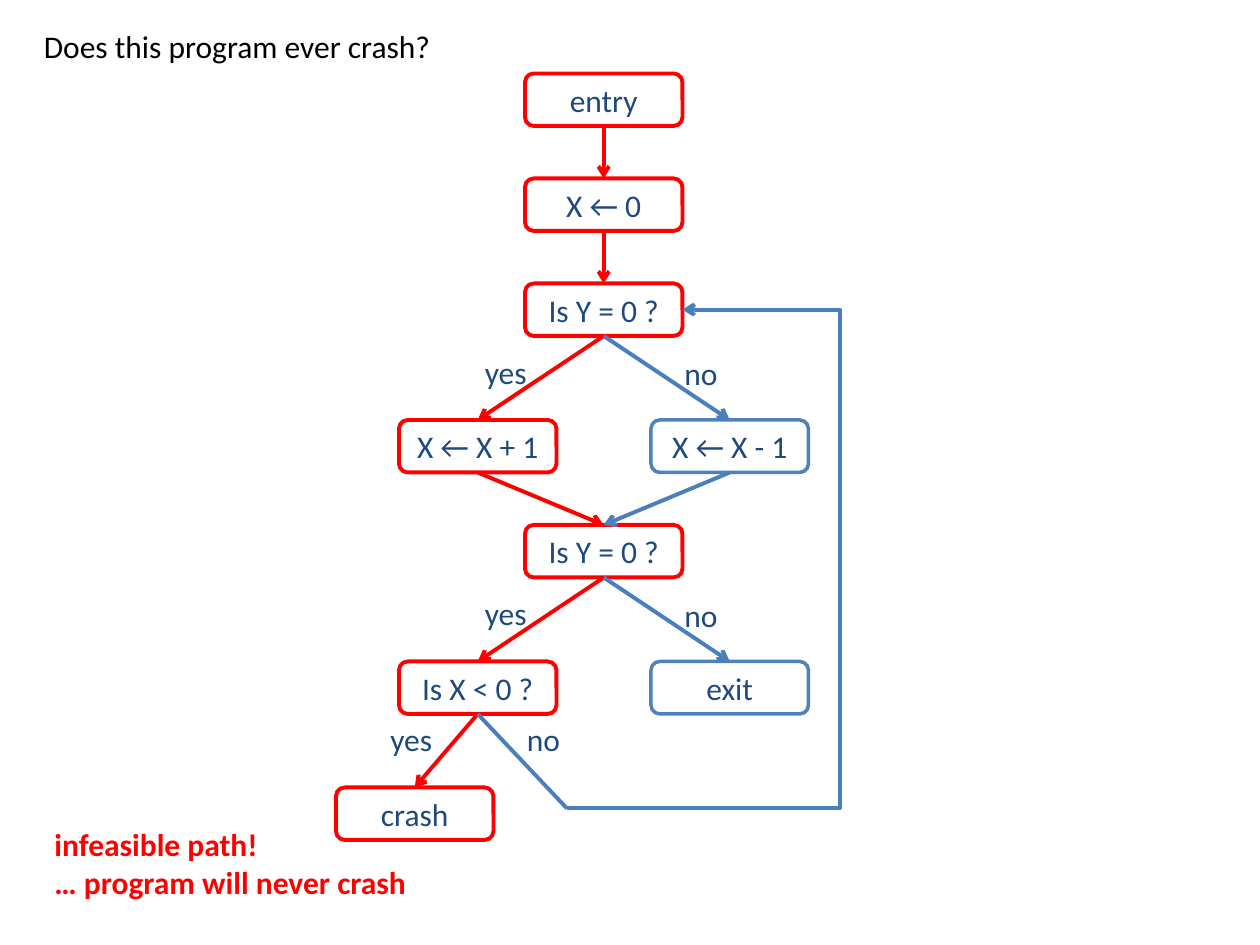
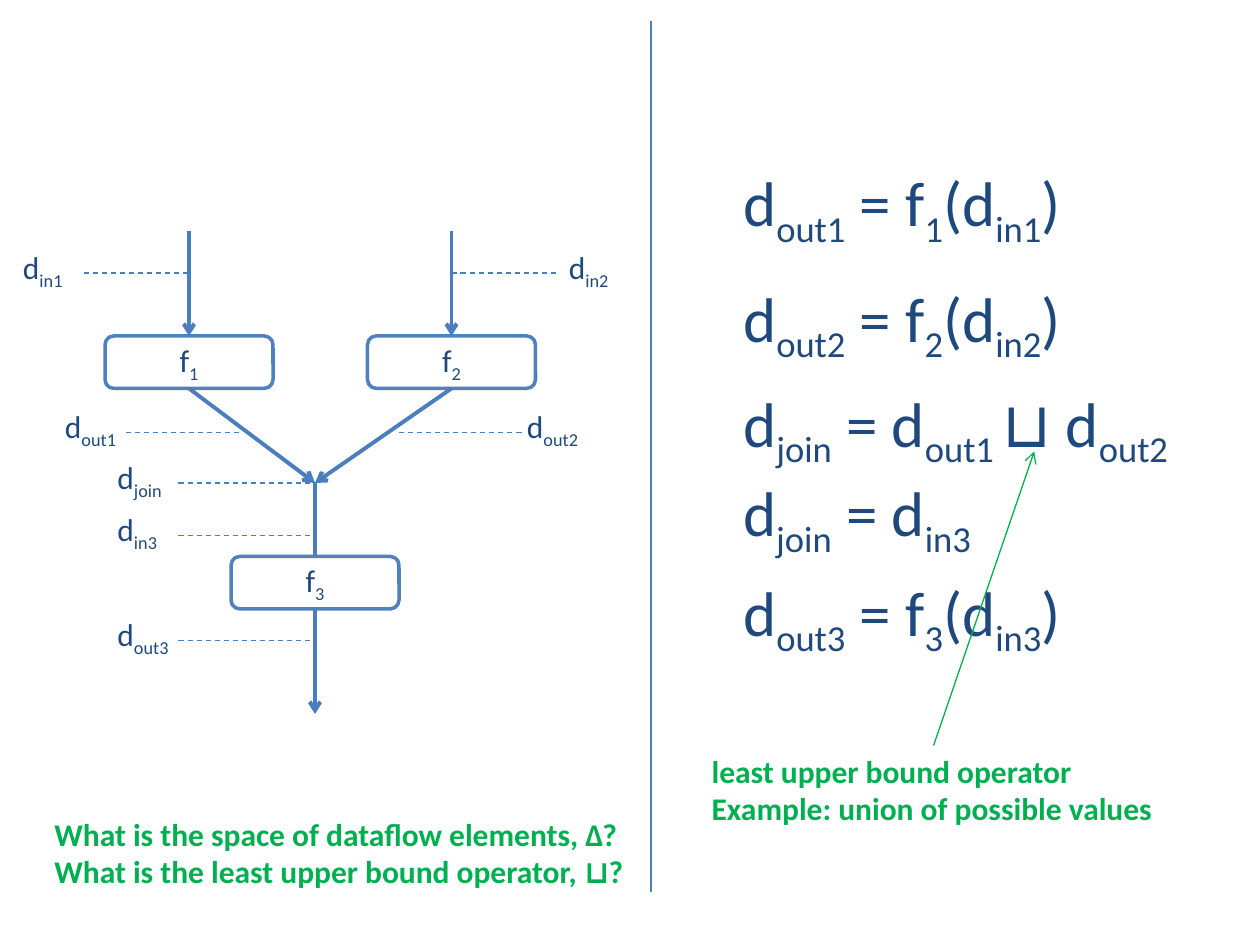
from lxml.etree import SubElement
from pptx import Presentation
from pptx.dml.color import RGBColor
from pptx.enum.dml import MSO_LINE
from pptx.enum.shapes import MSO_CONNECTOR as Link, MSO_SHAPE as Shape
from pptx.enum.text import MSO_ANCHOR as Anchor, MSO_AUTO_SIZE as AutoSize, PP_ALIGN as Align
from pptx.oxml.ns import qn
from pptx.util import Pt

NAVY, BLUE, LINK_BLUE = "1F497D", "4F81BD", "4B7EBC"
RED, GREEN, BLACK = "FF0000", "00B050", "000000"
FONT = "Calibri"
BOX_HEIGHT, LABEL_HEIGHT = 30, 29
TOP, BOTTOM = 0, 2

PROGRAM_BOXES = {
    "entry": ("entry", 300, 42, RED),
    "assign": ("X ← 0", 300, 102, RED),
    "first test": ("Is Y = 0 ?", 300, 162, RED),
    "increment": ("X ← X + 1", 228, 240, RED),
    "decrement": ("X ← X - 1", 372, 240, BLUE),
    "second test": ("Is Y = 0 ?", 300, 300, RED),
    "sign test": ("Is X < 0 ?", 228, 378, RED),
    "exit": ("exit", 372, 378, BLUE),
    "crash": ("crash", 192, 450, RED),
}
PROGRAM_ARROWS = [
    ("entry", "assign", RED), ("assign", "first test", RED),
    ("first test", "increment", RED), ("first test", "decrement", LINK_BLUE),
    ("increment", "second test", RED), ("decrement", "second test", LINK_BLUE),
    ("second test", "sign test", RED), ("second test", "exit", LINK_BLUE),
    ("sign test", "crash", RED),
]
BRANCH_LABELS = [
    ("yes", 270, 198), ("no", 384, 198.5), ("yes", 270, 336),
    ("no", 384, 337), ("yes", 216, 408), ("no", 294, 408),
]
BRANCH_WIDTHS = {"yes": 39, "no": 34}
LOOP_START, LOOP_END, LOOP_RIGHT = (324, 462), (390, 177), 480

FLOW_BOXES = [("f|1|", 60, 192), ("f|2|", 210, 192), ("f|3|", 132, 318)]
JOIN = (180, 276)
FLOW_LABELS = [
    ("d|in1|", 6, 40, 48, 108, 156),
    ("d|in2|", 318, 40, 258, 318, 156),
    ("d|out1|", 30, 51, 72, 138, 247),
    ("d|out2|", 294, 48, 228, 300, 247),
    ("d|join|", 60, 51, 102, 180, 276),
    ("d|in3|", 60, 51, 102, 180, 306),
    ("d|out3|", 60, 51, 102, 180, 366),
]
EQUATIONS = [
    ("d|out1| = f|1|(d|in1|)", 90, 215),
    ("d|out2| = f|2|(d|in2|)", 156, 215),
    ("d|join| = d|out1 |⊔ d|out2|", 216, 275),
    ("d|join| = d|in3|", 267, 155),
    ("d|out3| = f|3|(d|in3|)", 324, 209),
]


def color(value):
    return RGBColor.from_string(value)


def fill_text(frame, text, size=18, ink=NAVY, bold=False, align=Align.LEFT):
    for index, line in enumerate(text.split("\n")):
        paragraph = frame.add_paragraph() if index else frame.paragraphs[0]
        paragraph.alignment = align
        for part, content in enumerate(line.split("|")):
            if not content:
                continue
            run = paragraph.add_run()
            run.text = content
            run.font.name, run.font.size, run.font.bold = FONT, Pt(size), bold
            run.font.color.rgb = color(ink)
            if part % 2:
                run.font._element.set("baseline", "-25000")


def add_text(slide, text, left, top, width, height=LABEL_HEIGHT, wrap=False, **style):
    shape = slide.shapes.add_textbox(Pt(left), Pt(top), Pt(width), Pt(height))
    shape.text_frame.word_wrap = wrap
    shape.text_frame.auto_size = AutoSize.SHAPE_TO_FIT_TEXT
    fill_text(shape.text_frame, text, **style)


def add_box(slide, text, left, top, width, outline=BLUE):
    shape = slide.shapes.add_shape(Shape.ROUNDED_RECTANGLE, Pt(left), Pt(top), Pt(width), Pt(BOX_HEIGHT))
    shape.shadow.inherit = False
    shape.fill.background()
    shape.line.color.rgb = color(outline)
    shape.line.width = Pt(2.25 if outline == RED else 2)
    shape.text_frame.word_wrap = True
    shape.text_frame.vertical_anchor = Anchor.MIDDLE
    fill_text(shape.text_frame, text, align=Align.CENTER)
    return shape


def add_line(slide, start, end, ink=LINK_BLUE, width=2.25, arrow=False, dashed=False, kind=Link.STRAIGHT):
    places = [(0, 0) if hasattr(place, "text_frame") else place for place in (start, end)]
    line = slide.shapes.add_connector(kind, *(Pt(value) for place in places for value in place))
    if hasattr(start, "text_frame"):
        line.begin_connect(start, BOTTOM)
    if hasattr(end, "text_frame"):
        line.end_connect(end, TOP)
    line.line.color.rgb = color(ink)
    line.line.width = Pt(width)
    if dashed:
        line.line.dash_style = MSO_LINE.DASH
    properties = line._element.spPr
    if arrow:
        SubElement(properties.find(qn("a:ln")), qn("a:tailEnd"), type="arrow")
    SubElement(properties, qn("a:effectLst"))
    return line


def add_loop(slide, start, end, right):
    width, height = start[1] - end[1], end[0] - start[0]
    left = (start[0] + end[0] - width) / 2
    top = (start[1] + end[1] - height) / 2
    loop = add_line(slide, (left, top), (left + width, top + height), arrow=True, kind=Link.ELBOW)
    frame = loop._element.spPr.find(qn("a:xfrm"))
    for name, value in (("rot", "5400000"), ("flipH", "1"), ("flipV", "1")):
        frame.set(name, value)
    geometry = loop._element.spPr.find(qn("a:prstGeom"))
    geometry.set("prst", "bentConnector4")
    adjustments = geometry.find(qn("a:avLst"))
    reach = round((right - start[0]) / height * 100000)
    for name, value in (("adj1", 0), ("adj2", reach)):
        SubElement(adjustments, qn("a:gd"), name=name, fmla=f"val {value}")


def build_program(slide):
    boxes = {
        name: add_box(slide, text, left, top, 90, outline)
        for name, (text, left, top, outline) in PROGRAM_BOXES.items()
    }
    for source, target, ink in PROGRAM_ARROWS:
        add_line(slide, boxes[source], boxes[target], ink, arrow=True)
    add_line(slide, boxes["sign test"], LOOP_START)
    add_loop(slide, LOOP_START, LOOP_END, LOOP_RIGHT)
    for text, left, top in BRANCH_LABELS:
        add_text(slide, text, left, top, BRANCH_WIDTHS[text])
    add_text(slide, "infeasible path!\n… program will never crash", 24, 468, 217, 51, ink=RED, bold=True)
    add_text(slide, "Does this program ever crash?", 18, 12, 264, wrap=True, ink=BLACK)


def build_dataflow(slide):
    add_line(slide, (372, 12), (372, 510), width=0.75)
    for text, top, width in EQUATIONS:
        add_text(slide, text, 417.6, top, width, 51, size=36)
    first, second, third = [add_box(slide, text, left, top, 96) for text, left, top in FLOW_BOXES]
    for box, center in ((first, 108), (second, 258)):
        add_line(slide, (center, 132), box, arrow=True)
        add_line(slide, box, JOIN, arrow=True)
    add_line(slide, JOIN, third)
    add_line(slide, third, (JOIN[0], 408), arrow=True)
    for text, left, width, start, end, level in FLOW_LABELS:
        add_line(slide, (start, level), (end, level), width=0.75, dashed=True)
        add_text(slide, text, left, level - 18, width, wrap=True)
    add_line(slide, (533.5, 426), (591, 258), GREEN, 0.75, arrow=True)
    add_text(slide, "least upper bound operator\nExample: union of possible values",
             399.6, 426, 268, 51, ink=GREEN, bold=True)
    add_text(slide, "What is the space of dataflow elements, Δ?\nWhat is the least upper bound operator, ⊔?",
             24, 462, 341, 51, ink=GREEN, bold=True)


def main():
    presentation = Presentation()
    presentation.slide_width, presentation.slide_height = Pt(720), Pt(540)
    for build in (build_program, build_dataflow):
        build(presentation.slides.add_slide(presentation.slide_layouts[6]))
    presentation.save("out.pptx")


if __name__ == "__main__":
    main()
